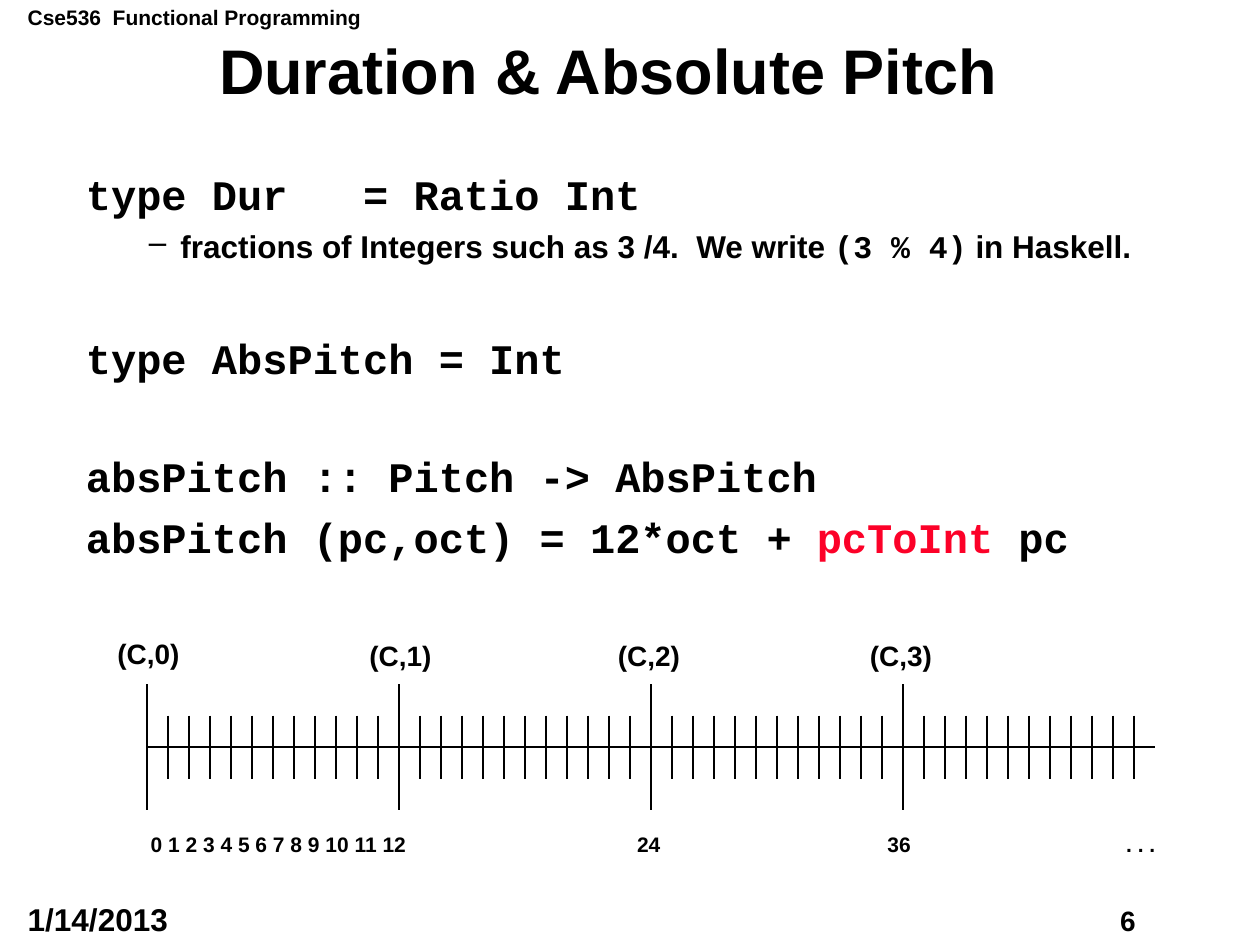
import pptx
import pptx.util
import pptx.dml.color
import pptx.enum.shapes
import pptx.enum.text
import pptx.oxml
import pptx.oxml.ns

Pt = pptx.util.Pt
BLACK, RED = "000000", "FC0128"
SANS, MONO = "Arial", "Courier New"


def color(code):
    """Turn a hex string into a colour."""
    return pptx.dml.color.RGBColor.from_string(code)


def node(tag, **attrs):
    """Make one drawing element."""
    item = pptx.oxml.parse_xml(f"<a:{tag} {pptx.oxml.ns.nsdecls('a')}/>")
    for name, value in attrs.items():
        item.set(name, str(value))
    return item


def write(para, text, font=SANS, size=24, shade=BLACK):
    """Add a bold run of text in the given format."""
    run = para.add_run()
    run.text = text
    run.font.name, run.font.size, run.font.bold = font, Pt(size), True
    run.font.color.rgb = color(shade)


def frame(slide, left, top, width, height, wrap=False):
    """Add an empty text box and return its frame."""
    box = slide.shapes.add_textbox(Pt(left), Pt(top), Pt(width), Pt(height))
    box.text_frame.word_wrap = wrap
    return box.text_frame


def label(slide, text, left, top, width, height, size):
    """Add a text box that holds one line."""
    write(frame(slide, left, top, width, height).paragraphs[0], text, size=size)


def rule(slide, left, top, right, base):
    """Draw a thin black line."""
    line = slide.shapes.add_connector(
        pptx.enum.shapes.MSO_CONNECTOR.STRAIGHT, Pt(left), Pt(top), Pt(right), Pt(base))
    line.line.color.rgb = color(BLACK)
    line.line.width = Pt(1)
    line._element.spPr.append(node("effectLst"))


def title(slide, text):
    """Add the centred heading."""
    body = frame(slide, 22.5, 22.5, 650, 40, wrap=True)
    body.vertical_anchor = pptx.enum.text.MSO_ANCHOR.MIDDLE
    para = body.paragraphs[0]
    para.alignment = pptx.enum.text.PP_ALIGN.CENTER
    para.line_spacing = 0.9
    write(para, text, size=36)


def code(slide):
    """Add the type definitions and the note on fractions."""
    body = frame(slide, 42, 96, 642, 260, wrap=True)
    note = [("fractions of Integers such as 3 /4.  We write ", SANS, 18, BLACK),
            ("(3 % 4)", MONO, 18, BLACK), (" in Haskell.", SANS, 18, BLACK)]
    rows = [
        (0, [("type Dur   = Ratio Int", MONO, 24, BLACK)]),
        (6.5, note),
        (41.8, [("type AbsPitch = Int", MONO, 24, BLACK)]),
        (41.8, [("absPitch :: Pitch -> AbsPitch", MONO, 24, BLACK)]),
        (8.65, [("absPitch (pc,oct) = 12*oct + ", MONO, 24, BLACK),
                ("pcToInt", MONO, 24, RED), (" pc", MONO, 24, BLACK)]),
    ]
    for count, (gap, runs) in enumerate(rows):
        para = body.add_paragraph() if count else body.paragraphs[0]
        para.line_spacing, para.space_before = 0.9, Pt(gap)
        props = para._p.get_or_add_pPr()
        left, hang = (54, 18) if runs is note else (22.5, 22.5)
        props.set("marL", str(Pt(left)))
        props.set("indent", str(Pt(-hang)))
        props.append(node("buChar", char="–") if runs is note else node("buNone"))
        for run in runs:
            write(para, *run)


def scale(slide):
    """Draw the pitch line with its ticks, octaves and numbers."""
    start, step, mid, tones = 84, 12, 427, 12
    rule(slide, start, mid, start + 4 * tones * step, mid)
    for tick in range(4 * tones):
        left = start + tick * step
        half = 18 if tick % tones else 36
        rule(slide, left, mid - half, left, mid + half)
    for octave, (left, top) in enumerate([(60, 360), (204, 361.5), (346, 361.5), (490, 361.5)]):
        label(slide, f"(C,{octave})", left, top, 50, 26.5, 16)
    para = frame(slide, 79, 471.5, 617, 22, wrap=True).paragraphs[0]
    tabs = node("tabLst")
    for stop in (278, 421, 557.5):
        tabs.append(node("tab", pos=Pt(stop), algn="l"))
    para._p.get_or_add_pPr().append(tabs)
    write(para, "0 1 2 3 4 5 6 7 8 9 10 11 12\t24\t36\t. . .", size=12)


def main():
    """Build and save the slide."""
    deck = pptx.Presentation()
    deck.slide_width, deck.slide_height = Pt(720), Pt(540)
    slide = deck.slides.add_slide(deck.slide_layouts[6])
    label(slide, "Cse536  Functional Programming", 8.75, -1, 205, 22, 12)
    label(slide, "6", 633, 512.5, 34, 26.5, 16)
    label(slide, "1/14/2013", 8.75, 511, 104, 29, 18)
    code(slide)
    title(slide, "Duration & Absolute Pitch")
    scale(slide)
    deck.save("out.pptx")


if __name__ == "__main__":
    main()
